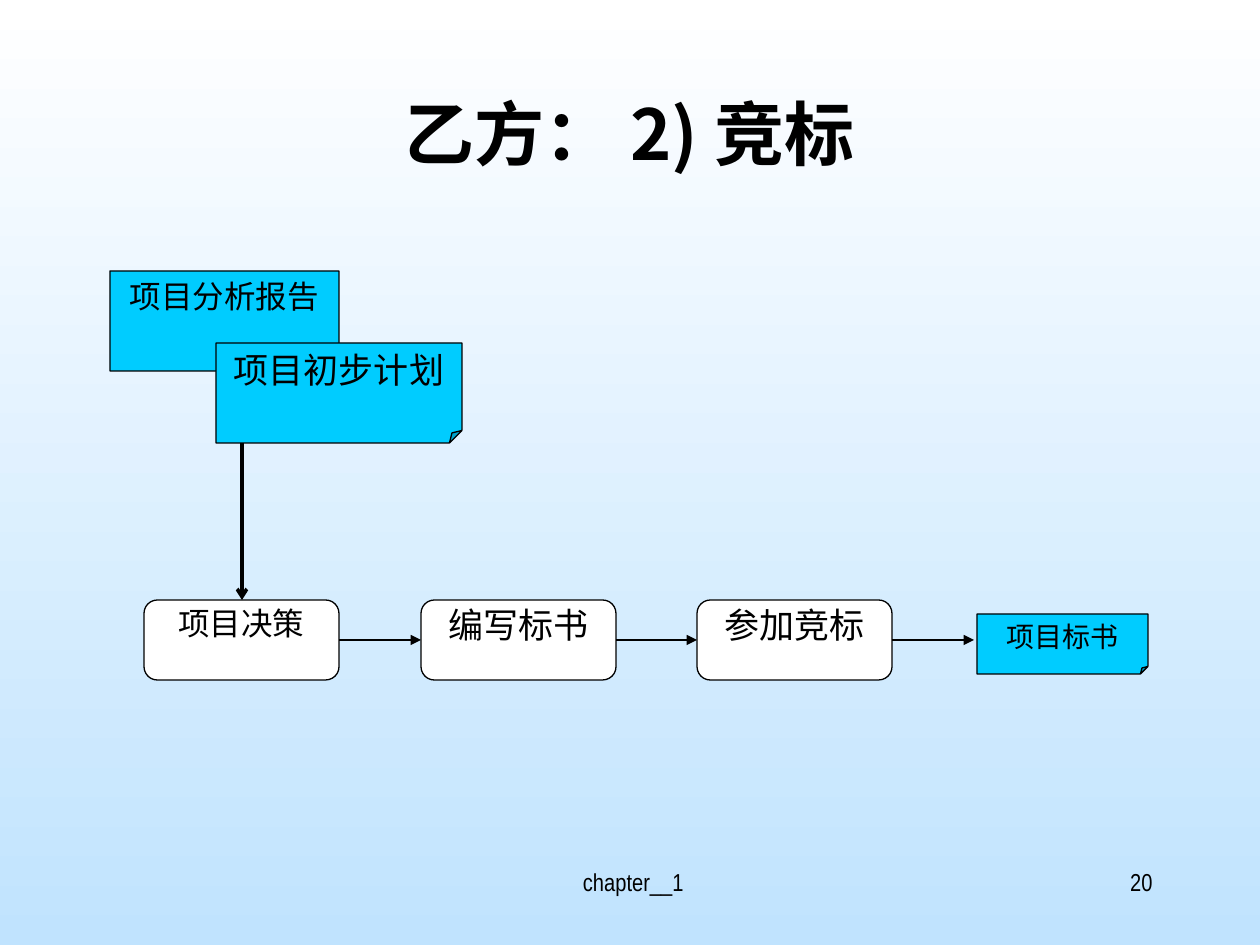
from dataclasses import dataclass

from lxml import etree
from pptx import Presentation
from pptx import util as u
from pptx.dml.color import RGBColor
from pptx.enum import shapes, text
from pptx.oxml.ns import qn

PX = 914400 / 126  # EMU in one px
BLACK = RGBColor(0x00, 0x00, 0x00)
WHITE = RGBColor(0xFF, 0xFF, 0xFF)
CYAN = RGBColor(0x00, 0xCC, 0xFF)
SKY = RGBColor(0xC0, 0xE3, 0xFE)
SERIF, NARROW, CJK = "Times New Roman", "Arial Narrow", "Noto Sans CJK SC"
CENTER, RIGHT = text.PP_ALIGN.CENTER, text.PP_ALIGN.RIGHT
STEP_TOP, STEP_W, STEP_H = 600, 195, 80
STEP_MID = STEP_TOP + STEP_H // 2


@dataclass
class Box:
    label: str
    x: int
    y: int
    w: int
    h: int
    size: int


@dataclass
class Kind:
    preset: shapes.MSO_SHAPE
    fill: RGBColor
    adj: int  # corner size in 1/100000 of the short side
    inset: int  # px above and below the text


STEP = Kind(shapes.MSO_SHAPE.ROUNDED_RECTANGLE, WHITE, 16700, 0)
NOTE = Kind(shapes.MSO_SHAPE.FOLDED_CORNER, CYAN, 12500, 6)


def px(n: int) -> u.Emu:
    return u.Emu(round(n * PX))


def write(sp, label: str, size: int, font: str, align=CENTER, bold=False) -> None:
    tf = sp.text_frame
    frame = {"word_wrap": True, "auto_size": text.MSO_AUTO_SIZE.NONE,
             "vertical_anchor": text.MSO_ANCHOR.TOP}
    for name, value in frame.items():
        setattr(tf, name, value)
    p = tf.paragraphs[0]
    p.alignment = align
    r = p.add_run()
    r.text = label
    for name, value in {"name": font, "size": u.Pt(size), "bold": bold}.items():
        setattr(r.font, name, value)
    r.font.color.rgb = BLACK
    ea = etree.SubElement(r.font._element, qn("a:ea"))
    ea.set("typeface", CJK)


def draw_box(s, b: Box, kind: Kind):
    sp = s.shapes.add_shape(kind.preset, px(b.x), px(b.y), px(b.w), px(b.h))
    sp.shadow.inherit = False
    # python-pptx lists no adjustment for a folded corner, so set it in the XML
    guides = sp._element.spPr.find(".//" + qn("a:avLst"))
    etree.SubElement(guides, qn("a:gd"), name="adj", fmla=f"val {kind.adj}")
    sp.fill.solid()
    sp.fill.fore_color.rgb = kind.fill
    sp.line.color.rgb = BLACK
    sp.line.width = u.Pt(0.75)
    insets = {"margin_left": 0, "margin_right": 0,
              "margin_top": px(kind.inset), "margin_bottom": px(kind.inset)}
    for name, value in insets.items():
        setattr(sp.text_frame, name, value)
    write(sp, b.label, b.size, SERIF)
    return sp


def draw_arrow(s, x1: int, y1: int, x2: int, y2: int, width=0.75, head="triangle"):
    cn = s.shapes.add_connector(shapes.MSO_CONNECTOR.STRAIGHT,
                                px(x1), px(y1), px(x2), px(y2))
    cn.line.color.rgb = BLACK
    cn.line.width = u.Pt(width)
    etree.SubElement(cn.line._get_or_add_ln(), qn("a:tailEnd")).set("type", head)
    etree.SubElement(cn._element.spPr, qn("a:effectLst"))
    return cn


def main() -> None:
    prs = Presentation()
    prs.slide_width, prs.slide_height = px(1260), px(945)
    s = prs.slides.add_slide(prs.slide_layouts[5])

    # Background, white at the top to sky blue
    fill = s.background.fill
    fill.gradient()
    fill.gradient_angle = 270
    for stop, position, color in zip(fill.gradient_stops, (0, 1), (WHITE, SKY)):
        stop.position = position
        stop.color.rgb = color

    # Title
    title = s.shapes.title
    place = {"left": 94, "top": 84, "width": 1071, "height": 158}
    for name, value in place.items():
        setattr(title, name, px(value))
    write(title, "乙方： 2) 竞标", 40, CJK, bold=True)

    # Footer and slide number
    for label, x, w, align in ((" chapter__1", 431, 399, CENTER), ("20", 903, 262, RIGHT)):
        tb = s.shapes.add_textbox(px(x), px(861), px(w), px(63))
        write(tb, label, 14, NARROW, align)

    # Process steps
    steps = [draw_box(s, Box(label, x, STEP_TOP, STEP_W, STEP_H, size), STEP)
             for label, x, size in (("项目决策", 144, 18), ("编写标书", 421, 20),
                                    ("参加竞标", 697, 20))]

    # Documents
    for b in (Box("项目标书", 977, 614, 171, 60, 16),
              Box("项目分析报告", 110, 271, 229, 100, 18),
              Box("项目初步计划", 216, 343, 246, 100, 20)):
        draw_box(s, b, NOTE)

    # Arrows between the steps, to the bid document and from the plan
    for left, right in zip(steps, steps[1:]):
        cn = draw_arrow(s, 0, STEP_MID, 1, STEP_MID)
        cn.begin_connect(left, 3)
        cn.end_connect(right, 1)
    draw_arrow(s, 892, STEP_MID, 974, STEP_MID).begin_connect(steps[-1], 3)
    draw_arrow(s, 242, 443, 242, STEP_TOP, width=2, head="arrow")

    prs.save("out.pptx")


if __name__ == "__main__":
    main()
